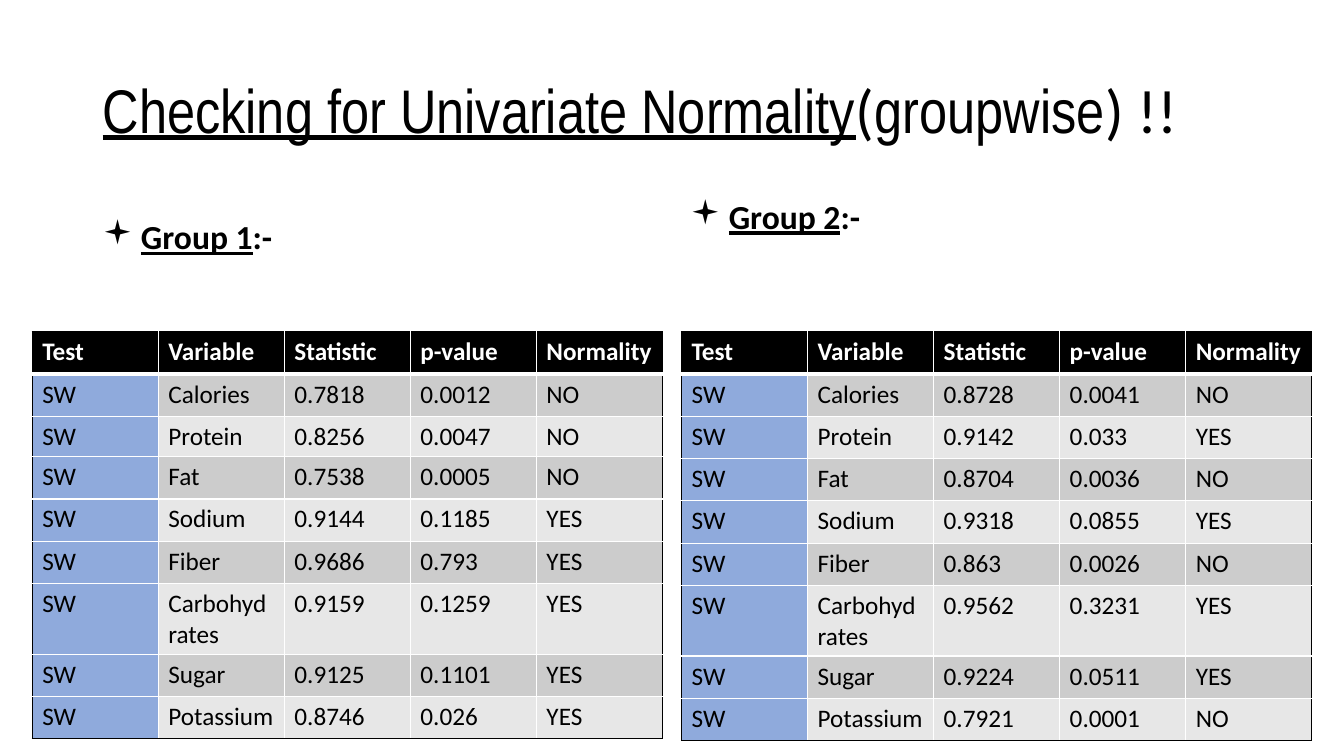
import pptx
import pptx.dml.color
import pptx.enum.text
import pptx.oxml.ns
import pptx.util
from lxml import etree
from pptx.util import Inches

BLACK = "000000"
WHITE = "FFFFFF"
TEST_BLUE = "8FAADC"
BANDS = ("CCCCCC", "E7E7E7")
HEADINGS = ("Test", "Variable", "Statistic", "p-value", "Normality")
VARIABLES = ("Calories", "Protein", "Fat", "Sodium", "Fiber",
             "Carbohydrates", "Sugar", "Potassium")
GROUP_1 = (("0.7818", "0.0012", "NO"), ("0.8256", "0.0047", "NO"),
           ("0.7538", "0.0005", "NO"), ("0.9144", "0.1185", "YES"),
           ("0.9686", "0.793", "YES"), ("0.9159", "0.1259", "YES"),
           ("0.9125", "0.1101", "YES"), ("0.8746", "0.026", "YES"))
GROUP_2 = (("0.8728", "0.0041", "NO"), ("0.9142", "0.033", "YES"),
           ("0.8704", "0.0036", "NO"), ("0.9318", "0.0855", "YES"),
           ("0.863", "0.0026", "NO"), ("0.9562", "0.3231", "YES"),
           ("0.9224", "0.0511", "YES"), ("0.7921", "0.0001", "NO"))


def colour(value):
    """Return the colour of a hex string."""
    return pptx.dml.color.RGBColor.from_string(value)


def add_element(parent, tag, **attributes):
    """Append a DrawingML element and return it."""
    return etree.SubElement(parent, pptx.oxml.ns.qn(f"a:{tag}"), attributes)


def style_font(font, size, fill, bold=False):
    """Set the size, colour and weight of a Calibri font."""
    font.name = "Calibri"
    font.size = pptx.util.Pt(size)
    font.bold = bold
    font.color.rgb = colour(fill)


def add_text_box(page, left, top, width, height, anchor):
    """Add a wrapping text box and return its first paragraph."""
    box = page.shapes.add_textbox(Inches(left), Inches(top), Inches(width), Inches(height))
    box.text_frame.word_wrap = True
    box.text_frame.vertical_anchor = anchor
    para = box.text_frame.paragraphs[0]
    para.line_spacing = 0.9
    return para


def add_span(para, text, underline=False):
    """Add a run to a paragraph and return it."""
    span = para.add_run()
    span.text = text
    span.font.underline = underline
    return span


def add_title(page):
    """Add the slide title in its two typefaces."""
    para = add_text_box(page, 0.92, 0.4, 11.5, 1.45, pptx.enum.text.MSO_ANCHOR.MIDDLE)
    style_font(para.font, 44, BLACK)
    add_span(para, "Checking for Univariate Normality", True).font.name = "Arial Narrow"
    add_span(para, "(")
    add_span(para, "groupwise").font.name = "Arial Narrow"
    add_span(para, ") !!")


def add_group_heading(page, name, left, top):
    """Add a bulleted group heading."""
    para = add_text_box(page, left, top, 5.65, 0.56, pptx.enum.text.MSO_ANCHOR.BOTTOM)
    properties = para._p.get_or_add_pPr()
    properties.set("marL", str(Inches(0.38)))
    properties.set("indent", str(Inches(-0.38)))
    add_element(properties, "buFont", typeface="Wingdings")
    add_element(properties, "buChar", char="▪")
    style_font(para.font, 24, BLACK, True)
    add_span(para, name, True)
    add_span(para, ":-")


def add_border(cell, side, fill, width):
    """Draw one border of a table cell."""
    line = add_element(cell._tc.get_or_add_tcPr(), f"ln{side}", w=str(pptx.util.Pt(width)))
    add_element(add_element(line, "solidFill"), "srgbClr", val=fill)


def style_cell(cell, row, column):
    """Fill, border and format a cell according to its place."""
    header = row == 0
    outer = {"L": column == 0, "R": column == len(HEADINGS) - 1,
             "T": header, "B": row == len(VARIABLES)}
    for side, is_outer in outer.items():
        add_border(cell, side, BLACK if is_outer else WHITE, 3 if header and side == "B" else 1)
    if header:
        fill = BLACK
    elif column == 0:
        fill = TEST_BLUE
    else:
        fill = BANDS[(row - 1) % 2]
    cell.fill.solid()
    cell.fill.fore_color.rgb = colour(fill)
    font = cell.text_frame.paragraphs[0].font
    style_font(font, 18, WHITE if header else BLACK, header)


def add_results_table(page, left, results):
    """Add the normality test results of one group."""
    rows = [HEADINGS]
    rows += [("SW", variable, *result) for variable, result in zip(VARIABLES, results)]
    frame = page.shapes.add_table(len(rows), len(HEADINGS), Inches(left), Inches(3.29),
                                  Inches(6.25), Inches(0.42 * len(rows)))
    table = frame.table
    for row, texts in enumerate(rows):
        table.rows[row].height = Inches(0.42)
        for column, text in enumerate(texts):
            cell = table.cell(row, column)
            cell.text = text
            style_cell(cell, row, column)
    return table


def main():
    """Build the slide and save the deck."""
    deck = pptx.Presentation()
    deck.slide_width = Inches(13.33)
    deck.slide_height = Inches(7.5)
    page = deck.slides.add_slide(deck.slide_layouts[6])
    add_title(page)
    add_group_heading(page, "Group 1", 0.92, 2.04)
    add_group_heading(page, "Group 2", 6.75, 1.84)
    add_results_table(page, 6.76, GROUP_2)
    group_1_table = add_results_table(page, 0.32, GROUP_1)
    group_1_table.rows[2].height = Inches(0.4)
    deck.save("out.pptx")


if __name__ == "__main__":
    main()
